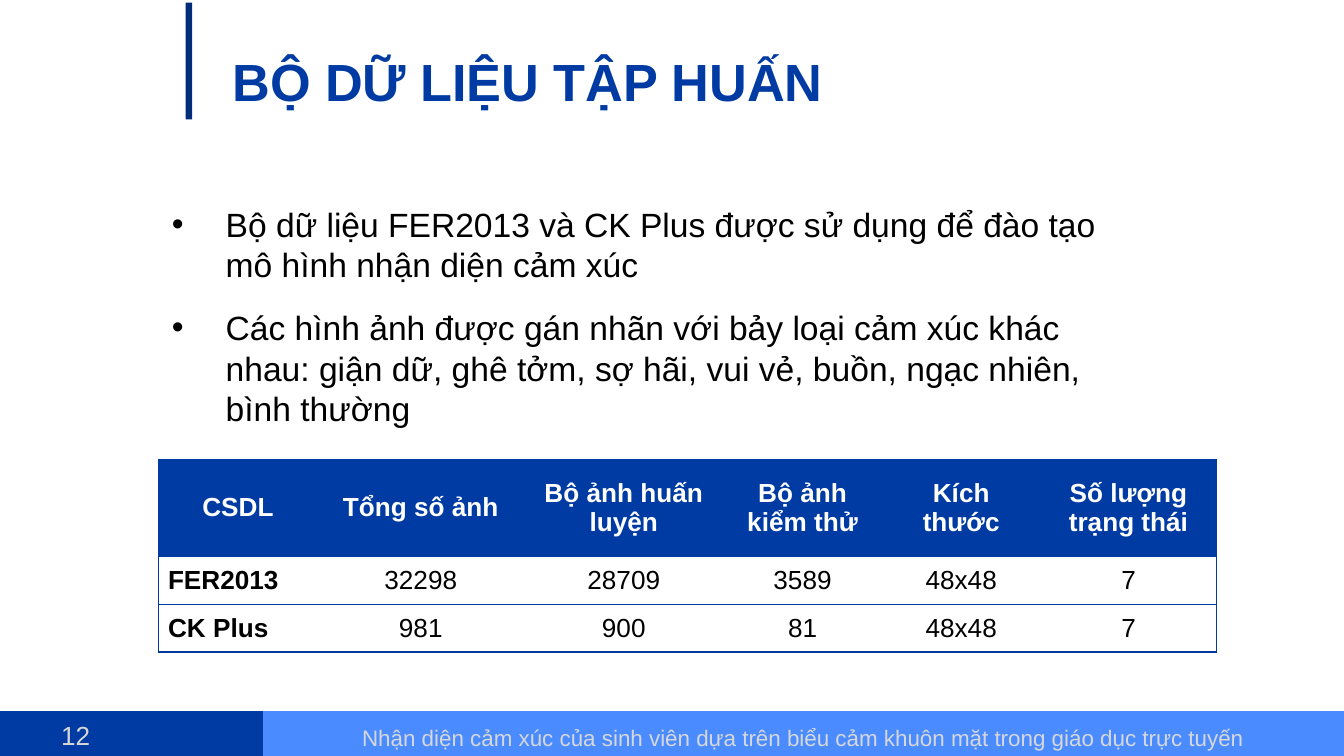
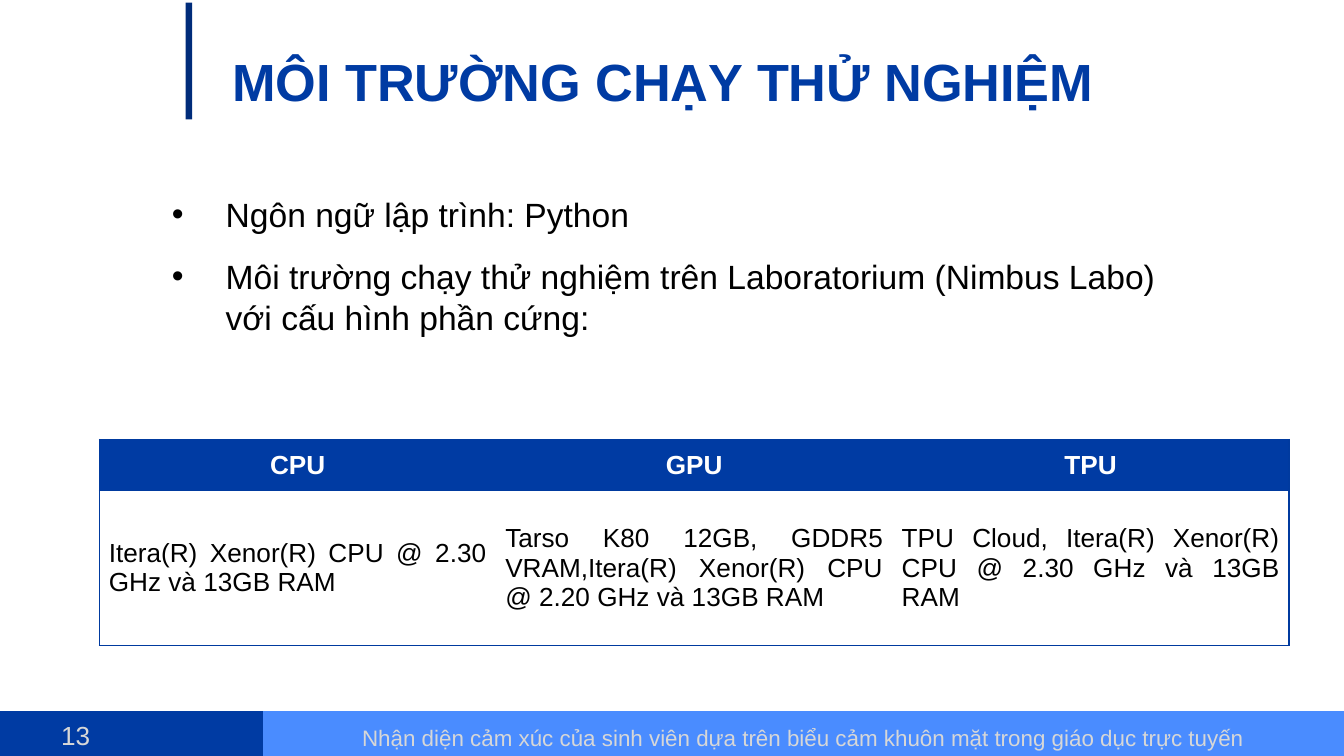
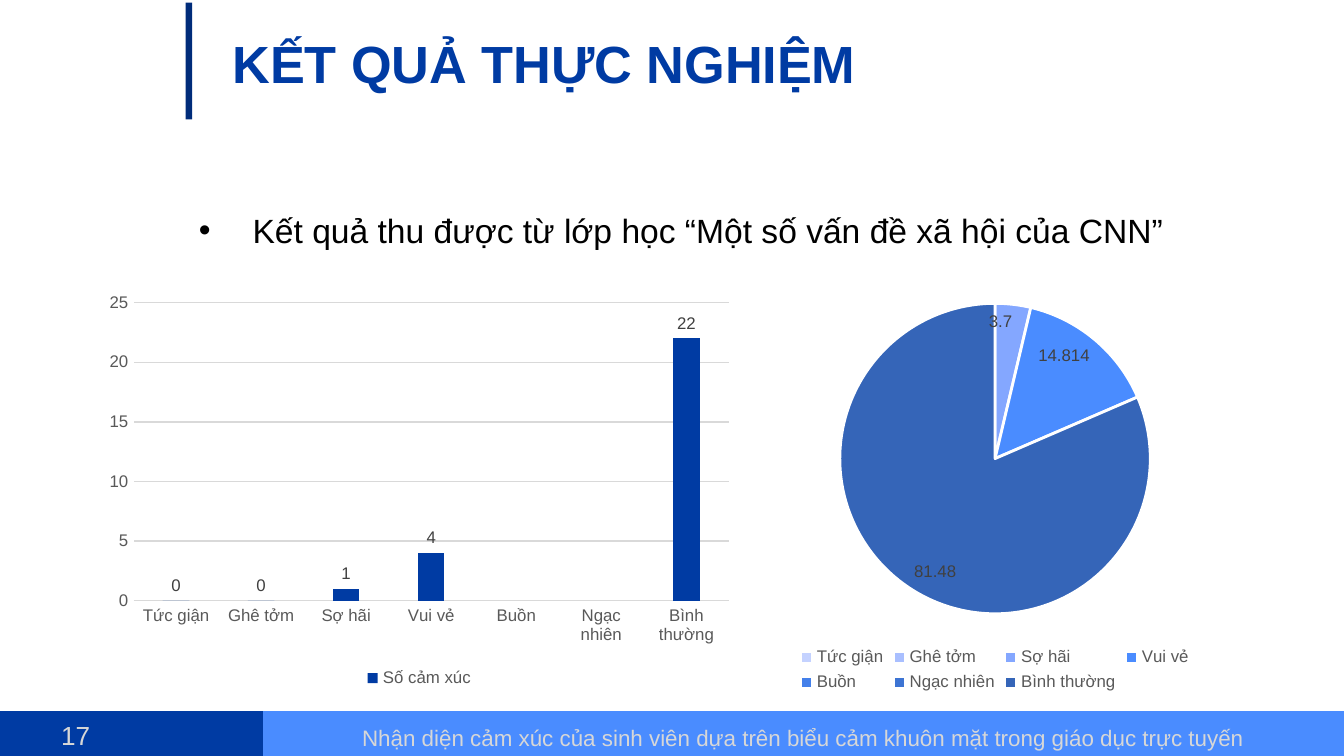
from lxml import etree
from pptx import Presentation
from pptx import util as u
from pptx.chart import data as cd
from pptx.dml.color import RGBColor
from pptx.enum import chart as ch, shapes, text
from pptx.oxml import ns

Pt = u.Pt
NAVY = RGBColor(0x00, 0x3B, 0xA3)
EDGE = RGBColor(0x00, 0x3A, 0x9F)
DARK = RGBColor(0x00, 0x2C, 0x7A)
SKY = RGBColor(0x4A, 0x8C, 0xFF)
PALE = RGBColor(0xD7, 0xD7, 0xD7)
GRID = RGBColor(0xD9, 0xD9, 0xD9)
GRAY = RGBColor(0x59, 0x59, 0x59)
INK = RGBColor(0x40, 0x40, 0x40)
BLACK = RGBColor(0, 0, 0)
WHITE = RGBColor(255, 255, 255)
SHADES = ["C4D2FF", "A9BFFF", "84A7FF", "4A8CFF", "4480EA", "3D74D3", "3565B8"]
FACE = "Arial"
NOTE = ("Nhận diện cảm xúc của sinh viên dựa trên biểu cảm khuôn mặt "
        "trong giáo dục trực tuyến")
LEFT, MID, RIGHT, FULL = (text.PP_ALIGN.LEFT, text.PP_ALIGN.CENTER,
                          text.PP_ALIGN.RIGHT, text.PP_ALIGN.JUSTIFY)


def style(font, size, color, bold=False):
    font.name, font.size, font.bold = FACE, Pt(size), bold
    font.color.rgb = color


def write(slide, spot, lines, size, color, align=LEFT, bold=False, bullet=False):
    frame = slide.shapes.add_textbox(*map(Pt, spot)).text_frame
    frame.word_wrap = True
    for i, line in enumerate(lines):
        para = frame.paragraphs[0] if i == 0 else frame.add_paragraph()
        para.text = line
        para.alignment = align
        if bullet:
            props = para._p.get_or_add_pPr()
            props.set("marL", str(Pt(28.8)))
            props.set("indent", str(-Pt(28.8)))
            tint = etree.SubElement(props, ns.qn("a:buClr"))
            etree.SubElement(tint, ns.qn("a:srgbClr"), val=str(BLACK))
            etree.SubElement(props, ns.qn("a:buFont"), typeface=FACE)
            etree.SubElement(props, ns.qn("a:buChar"), char="•")
            para.space_after = Pt(6)
            if i:
                para.space_before = Pt(6)
        style(para.font, size, color, bold)
    return frame


deck = Presentation()
deck.slide_width, deck.slide_height = Pt(720), Pt(405)

# Page number, title and its place, bullets and their place
pages = [
    (12, "BỘ DỮ LIỆU TẬP HUẤN", (117.4, 20.5, 535.7, 45.4),
     ["Bộ dữ liệu FER2013 và CK Plus được sử dụng để đào tạo mô hình "
      "nhận diện cảm xúc",
      "Các hình ảnh được gán nhãn với bảy loại cảm xúc khác nhau: giận dữ, "
      "ghê tởm, sợ hãi, vui vẻ, buồn, ngạc nhiên, bình thường"],
     (85, 105.8, 510.5, 128.2)),
    (13, "MÔI TRƯỜNG CHẠY THỬ NGHIỆM", (117.4, 20.5, 535.7, 45.4),
     ["Ngôn ngữ lập trình: Python",
      "Môi trường chạy thử nghiệm trên Laboratorium (Nimbus Labo) "
      "với cấu hình phần cứng:"],
     (85, 100.1, 567.4, 85)),
    (17, "KẾT QUẢ THỰC NGHIỆM", (117.4, 8.6, 535.7, 50.4),
     ["Kết quả thu được từ lớp học “Một số vấn đề xã hội của CNN”"],
     (99.4, 108.7, 553, 28.8)),
]

slides = []
for num, title, spot, points, area in pages:
    slide = deck.slides.add_slide(deck.slide_layouts[6])
    slides.append(slide)
    # Footer bands and title rule
    for place, color in [((0, 381, 141, 24), NAVY), ((141, 381, 579, 24), SKY),
                         ((99.4, 1.4, 3.6, 62.6), DARK)]:
        band = slide.shapes.add_shape(shapes.MSO_SHAPE.RECTANGLE, *map(Pt, place))
        band.shadow.inherit = False
        band.fill.solid()
        band.fill.fore_color.rgb = color
        band.line.fill.background()
    write(slide, (0, 381.6, 55.4, 24), [str(num)], 14, PALE, RIGHT)
    foot = write(slide, (141, 381.6, 579, 23), [NOTE], 12, PALE, MID)
    foot.paragraphs[0].line_spacing = 1.2
    # Title and bullets
    head = write(slide, spot, [title], 28, NAVY, bold=True)
    head.vertical_anchor = text.MSO_ANCHOR.MIDDLE
    head.margin_top = head.margin_bottom = Pt(7.2)
    write(slide, area, points, 18, BLACK, bullet=True)

# Tables: slide, corner, column widths, row heights, rows, bold first column
tables = [
    (slides[0], (85, 246.2), [85, 110.9, 106.6, 85, 85, 94.3], [51.8, 25.7, 25.7],
     [["CSDL", "Tổng số ảnh", "Bộ ảnh huấn luyện", "Bộ ảnh kiểm thử",
       "Kích thước", "Số lượng trạng thái"],
      ["FER2013", "32298", "28709", "3589", "48x48", "7"],
      ["CK Plus", "981", "900", "81", "48x48", "7"]], True),
    (slides[1], (53.3, 235.4), [212.4] * 3, [27.5, 82.8],
     [["CPU", "GPU", "TPU"],
      ["Itera(R) Xenor(R) CPU @ 2.30 GHz và 13GB RAM",
       "Tarso K80 12GB, GDDR5 VRAM,Itera(R) Xenor(R) CPU @ 2.20 GHz và 13GB RAM",
       "TPU Cloud, Itera(R) Xenor(R) CPU @ 2.30 GHz và 13GB RAM"]], False),
]
for slide, (x, y), wide, high, rows, keyed in tables:
    table = slide.shapes.add_table(len(high), len(wide), Pt(x), Pt(y),
                                   Pt(sum(wide)), Pt(sum(high))).table
    table.first_row = table.horz_banding = False
    # Plain style without a grid
    table._tbl.tblPr.find(ns.qn("a:tableStyleId")).text = (
        "{2D5ABB26-0587-4C30-8999-92F81FD0307C}")
    for c, size in enumerate(wide):
        table.columns[c].width = Pt(size)
    for r, row in enumerate(rows):
        table.rows[r].height = Pt(high[r])
        for c, value in enumerate(row):
            cell = table.cell(r, c)
            # Outer frame and lines between rows
            sides = ["lnL"] * (c == 0) + ["lnR"] * (c == len(wide) - 1)
            for side in sides + ["lnT", "lnB"]:
                line = etree.SubElement(cell._tc.get_or_add_tcPr(),
                                        ns.qn("a:" + side), w=str(Pt(0.75)))
                fill = etree.SubElement(line, ns.qn("a:solidFill"))
                etree.SubElement(fill, ns.qn("a:srgbClr"), val=str(EDGE))
            if r == 0:
                cell.fill.solid()
                cell.fill.fore_color.rgb = NAVY
            else:
                cell.fill.background()
            cell.margin_left = cell.margin_right = Pt(5)
            cell.margin_top = cell.margin_bottom = 0
            cell.vertical_anchor = text.MSO_ANCHOR.MIDDLE
            cell.text = value
            para = cell.text_frame.paragraphs[0]
            lead = keyed and c == 0
            para.alignment = MID if r == 0 or keyed and c else FULL
            style(para.font, 14, BLACK if r else WHITE, r == 0 or lead)

# Charts: kind, place, series name, values, number format, label position
moods = ["Tức giận", "Ghê tởm", "Sợ hãi", "Vui vẻ", "Buồn", "Ngạc nhiên",
         "Bình thường"]
kinds, marks = ch.XL_CHART_TYPE, ch.XL_LABEL_POSITION
charts = []
for kind, place, name, values, form, mark in [
        (kinds.COLUMN_CLUSTERED, (51.8, 152.6, 345.6, 218.9), "Số cảm xúc",
         [0, 0, 1, 4, None, None, 22], "General", marks.OUTSIDE_END),
        (kinds.PIE, (397.4, 152.6, 271.4, 221), "Series 1",
         [0, 0, 3.7, 14.814, 0, 0, 81.48], "0.0##;;;", marks.INSIDE_END)]:
    data = cd.CategoryChartData()
    data.categories = moods
    data.add_series(name, values)
    chart = slides[2].shapes.add_chart(kind, *map(Pt, place), data).chart
    charts.append(chart)
    style(chart.font, 10, BLACK)
    chart.has_title = False
    chart.has_legend = True
    chart.legend.position = ch.XL_LEGEND_POSITION.BOTTOM
    chart.legend.include_in_layout = False
    style(chart.legend.font, 9, GRAY)
    plot = chart.plots[0]
    plot.vary_by_categories = kind == kinds.PIE
    plot.has_data_labels = True
    tags = plot.data_labels
    tags.show_value = True
    tags.number_format, tags.number_format_is_linked = form, False
    tags.position = mark
    style(tags.font, 9, INK)

# Column colours and axes
bars, pie = charts
plot = bars.plots[0]
plot.gap_width, plot.overlap = 219, -27
fill = plot.series[0].format.fill
fill.solid()
fill.fore_color.rgb = NAVY
for axis in (bars.category_axis, bars.value_axis):
    axis.major_tick_mark = axis.minor_tick_mark = ch.XL_TICK_MARK.NONE
    style(axis.tick_labels.font, 9, GRAY)
axis.minimum_scale, axis.maximum_scale, axis.major_unit = 0, 25, 5
axis.format.line.fill.background()
for line in (bars.category_axis.format.line, axis.major_gridlines.format.line):
    line.color.rgb, line.width = GRID, Pt(0.75)

# Pie slices
for i, shade in enumerate(SHADES):
    slot = pie.plots[0].series[0].points[i].format
    slot.fill.solid()
    slot.fill.fore_color.rgb = RGBColor.from_string(shade)
    slot.line.color.rgb, slot.line.width = WHITE, Pt(1.5)

deck.save("out.pptx")
